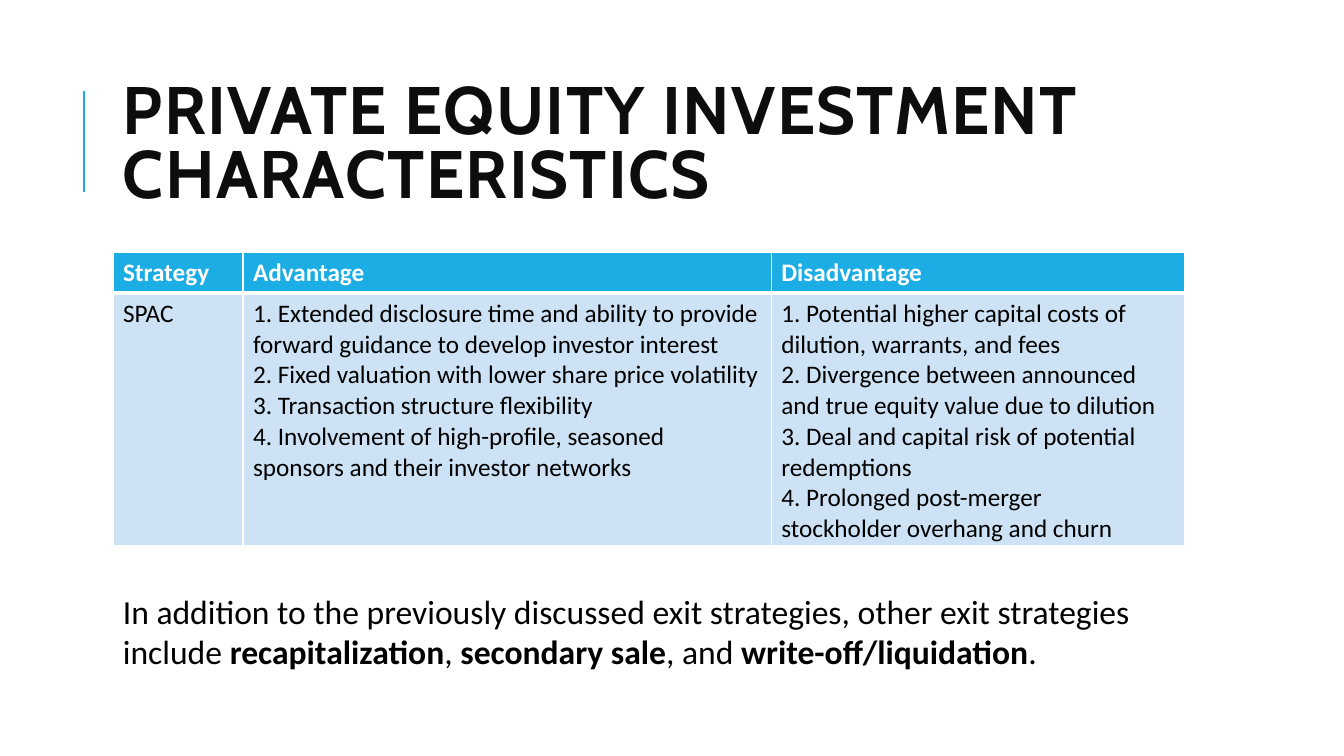
from lxml.etree import SubElement
from pptx import Presentation
from pptx.dml.color import RGBColor
from pptx.enum.shapes import MSO_CONNECTOR
from pptx.enum.text import MSO_ANCHOR
from pptx.oxml.ns import qn
from pptx.util import Inches, Pt

COLORS = {"accent": "1CADE4", "title": "0D0D0D", "text": "000000",
          "light": "FFFFFF", "row": "CDE3F5"}
LEFT, WIDTH = 1.12, 10.63
TITLE_BOX = (LEFT, 0.64, WIDTH, 1.64)
TABLE_BOX = (LEFT, 2.5, WIDTH, 2.91)
NOTE_BOX = (LEFT, 5.81, WIDTH, 1.21)
HEADER_HEIGHT = 0.41
COLUMN_WIDTHS = (1.29, 5.24, 4.1)

TITLE_FORMAT = {"name": "Cabin", "size": Pt(48), "bold": True}
HEADER_FORMAT = {"name": "Calibri", "size": Pt(18), "bold": True}
CELL_FORMAT = {"name": "Calibri", "size": Pt(18), "bold": False}
NOTE_FORMAT = {"name": "Calibri", "size": Pt(24)}

HEADERS = ("Strategy", "Advantage", "Disadvantage")
SPAC_ROW = (
    ["SPAC"],
    ["1. Extended disclosure time and ability to provide forward guidance "
     "to develop investor interest",
     "2. Fixed valuation with lower share price volatility",
     "3. Transaction structure flexibility",
     "4. Involvement of high-profile, seasoned sponsors and their investor networks"],
    ["1. Potential higher capital costs of",
     "dilution, warrants, and fees",
     "2. Divergence between announced",
     "and true equity value due to dilution",
     "3. Deal and capital risk of potential",
     "redemptions",
     "4. Prolonged post-merger",
     "stockholder overhang and churn"],
)
NOTE_RUNS = (
    ("In addition to the previously discussed exit strategies, "
     "other exit strategies include ", False),
    ("recapitalization", True), (", ", False),
    ("secondary sale", True), (", and ", False),
    ("write-off/liquidation", True), (".", False),
)


def color(name):
    return RGBColor.from_string(COLORS[name])


def add_run(paragraph, text, format_values, color_name):
    run = paragraph.add_run()
    run.text = text
    for attribute, value in format_values.items():
        setattr(run.font, attribute, value)
    run.font.color.rgb = color(color_name)
    return run


def add_text_frame(slide, box):
    frame = slide.shapes.add_textbox(*map(Inches, box)).text_frame
    frame.word_wrap = True
    return frame


def add_title(slide, box):
    """Place the heading in the box, with the accent rule to its left."""
    left, top, width, height = box
    rule_x, rule_top = Inches(left - 0.29), top + 0.26
    rule = slide.shapes.add_connector(MSO_CONNECTOR.STRAIGHT, rule_x,
                                      Inches(rule_top + 1), rule_x, Inches(rule_top))
    rule.line.color.rgb = color("accent")
    rule.line.width = Pt(1.5)
    SubElement(rule._element.spPr, qn("a:effectLst"))

    frame = add_text_frame(slide, box)
    frame.vertical_anchor = MSO_ANCHOR.MIDDLE
    paragraph = frame.paragraphs[0]
    paragraph.line_spacing = 0.8
    run = add_run(paragraph, "PRIVATE EQUITY INVESTMENT CHARACTERISTICS",
                  TITLE_FORMAT, "title")
    run.font._element.set("spc", "100")


def set_borders(cell, widths):
    """Draw white borders; widths maps a side (L, R, T, B) to points."""
    properties = cell._tc.get_or_add_tcPr()
    for side, width in widths.items():
        line = SubElement(properties, qn(f"a:ln{side}"), w=str(Pt(width)))
        fill = SubElement(line, qn("a:solidFill"))
        SubElement(fill, qn("a:srgbClr"), val=COLORS["light"])


def fill_cell(cell, lines, format_values, text_color, fill_color, bottom):
    set_borders(cell, {"L": 1, "R": 1, "T": bottom if fill_color == "row" else 1,
                       "B": bottom if fill_color == "accent" else 1})
    cell.fill.solid()
    cell.fill.fore_color.rgb = color(fill_color)
    for index, line in enumerate(lines):
        frame = cell.text_frame
        paragraph = frame.add_paragraph() if index else frame.paragraphs[0]
        add_run(paragraph, line, format_values, text_color)


def add_strategy_table(slide, box):
    table = slide.shapes.add_table(2, len(HEADERS), *map(Inches, box)).table
    table.horz_banding = False
    for column, width in zip(table.columns, COLUMN_WIDTHS):
        column.width = Inches(width)
    table.rows[0].height = Inches(HEADER_HEIGHT)
    table.rows[1].height = Inches(box[3] - HEADER_HEIGHT)
    for index, (header, lines) in enumerate(zip(HEADERS, SPAC_ROW)):
        fill_cell(table.cell(0, index), [header], HEADER_FORMAT, "light", "accent", 3)
        fill_cell(table.cell(1, index), lines, CELL_FORMAT, "text", "row", 3)


def add_note(slide, box):
    paragraph = add_text_frame(slide, box).paragraphs[0]
    for text, bold in NOTE_RUNS:
        add_run(paragraph, text, {**NOTE_FORMAT, "bold": bold}, "text")


def main():
    presentation = Presentation()
    presentation.slide_width = Inches(13.33)
    presentation.slide_height = Inches(7.5)
    slide = presentation.slides.add_slide(presentation.slide_layouts[6])
    add_title(slide, TITLE_BOX)
    add_strategy_table(slide, TABLE_BOX)
    add_note(slide, NOTE_BOX)
    presentation.save("out.pptx")


if __name__ == "__main__":
    main()
